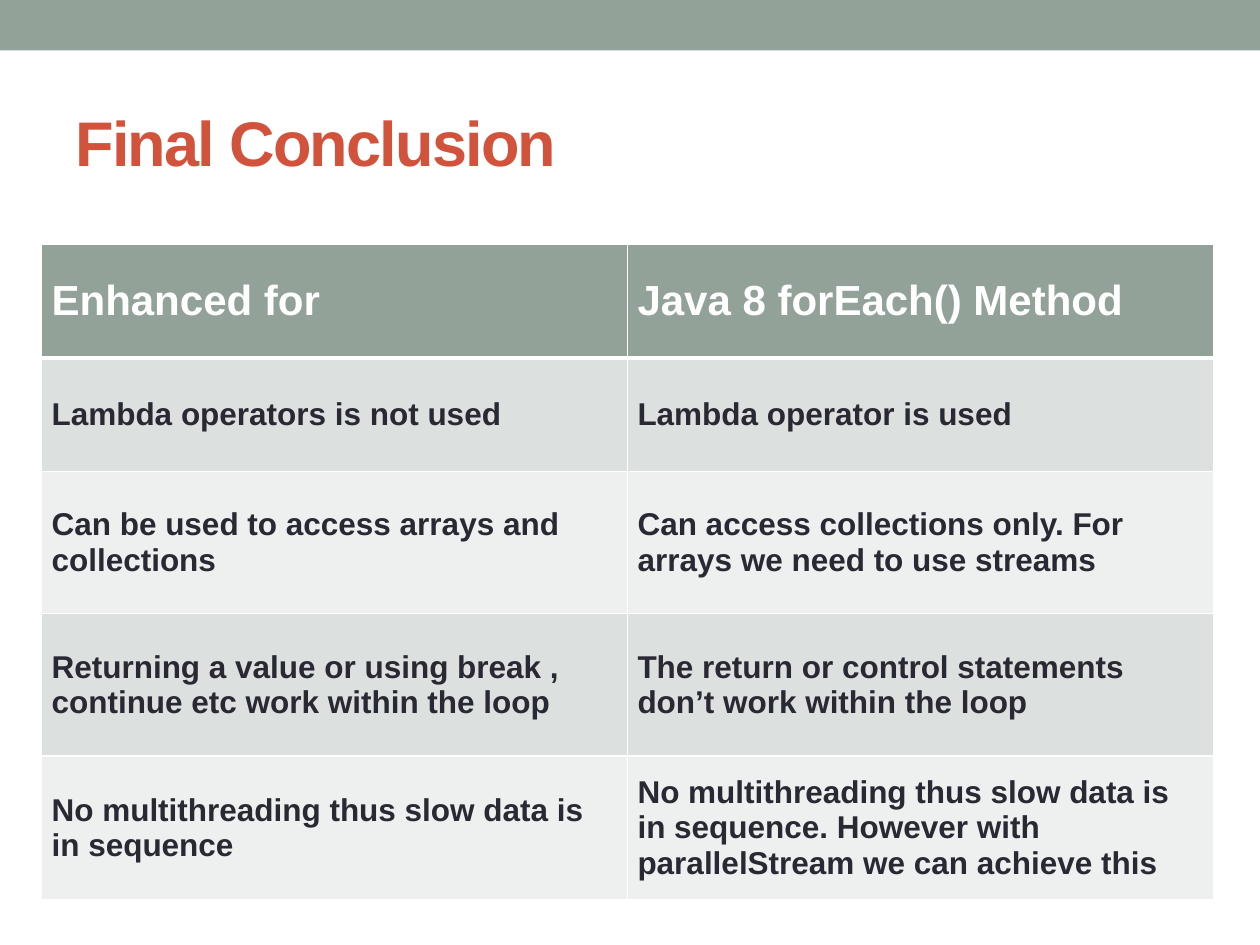
from dataclasses import dataclass

from lxml import etree
from pptx import Presentation
from pptx import util as u
from pptx.dml.color import RGBColor
from pptx.enum import shapes, text
from pptx.oxml import ns

SAGE, WHITE, INK, RUST = "93A299", "FFFFFF", "292934", "D2533C"
BAND_FILLS = ("DCE0DE", "EEF0EF")


@dataclass
class RowStyle:
    fill: str
    color: str
    size: int
    padding: float
    bottom_border: int = 1


@dataclass
class ComparisonRow:
    enhanced_for: str
    for_each: str
    height: float


ROWS = [
    ComparisonRow("Enhanced for", "Java 8 forEach() Method", 0.9),
    ComparisonRow("Lambda operators is not used", "Lambda operator is used", 0.9),
    ComparisonRow("Can be used to access arrays and collections",
                  "Can access collections only. For arrays we need to use streams", 1.13),
    ComparisonRow("Returning a value or using break , continue etc work within the loop",
                  "The return or control statements don’t work within the loop", 1.13),
    ComparisonRow("No multithreading thus slow data is in sequence",
                  "No multithreading thus slow data is in sequence. "
                  "However with parallelStream we can achieve this", 1.13),
]


def rgb(value: str) -> RGBColor:
    return RGBColor.from_string(value)


def set_attributes(target, values: dict) -> None:
    for name, value in values.items():
        setattr(target, name, value)


def write(frame, content: str, size: int, color: str):
    run = frame.paragraphs[0].add_run()
    run.text = content
    set_attributes(run.font, {"name": "Arial", "size": u.Pt(size), "bold": True})
    run.font.color.rgb = rgb(color)
    return run


def add_borders(cell, widths: dict) -> None:
    properties = cell._tc.get_or_add_tcPr()
    for position, (side, width) in enumerate(widths.items()):
        line = etree.Element(ns.qn(f"a:{side}"), w=str(u.Pt(width)))
        fill = etree.SubElement(line, ns.qn("a:solidFill"))
        etree.SubElement(fill, ns.qn("a:srgbClr"), val=WHITE)
        properties.insert(position, line)


def format_cell(cell, content: str, style: RowStyle, top_border: int) -> None:
    set_attributes(cell, {
        "margin_left": u.Inches(0.08), "margin_right": u.Inches(0.08),
        "margin_top": u.Inches(style.padding), "margin_bottom": u.Inches(style.padding),
        "vertical_anchor": text.MSO_ANCHOR.MIDDLE,
    })
    cell.fill.solid()
    cell.fill.fore_color.rgb = rgb(style.fill)
    write(cell.text_frame, content, style.size, style.color)
    add_borders(cell, {"lnL": 1, "lnR": 1, "lnT": top_border, "lnB": style.bottom_border})


def add_banner(slide) -> None:
    banner = slide.shapes.add_shape(shapes.MSO_SHAPE.RECTANGLE, 0, 0, u.Inches(10), u.Inches(0.4))
    banner.shadow.inherit = False
    banner.fill.solid()
    banner.fill.fore_color.rgb = rgb(SAGE)
    banner.line.fill.background()


def add_heading(slide, content: str) -> None:
    heading = slide.shapes.add_textbox(u.Inches(0.5), u.Inches(0.58), u.Inches(9), u.Inches(1.08))
    set_attributes(heading.text_frame,
                   {"word_wrap": True, "vertical_anchor": text.MSO_ANCHOR.MIDDLE})
    run = write(heading.text_frame, content, 36, RUST)
    run.font._element.set("spc", "-100")  # tighten letters by one point


def add_comparison(slide, rows: list[ComparisonRow]) -> None:
    comparison = slide.shapes.add_table(
        len(rows), 2, u.Inches(0.33), u.Inches(1.94), u.Inches(9.3),
        u.Inches(sum(row.height for row in rows))).table
    for column in comparison.columns:
        column.width = u.Inches(4.65)

    top_border = 1
    for index, row in enumerate(rows):
        comparison.rows[index].height = u.Inches(row.height)
        if index == 0:
            style = RowStyle(SAGE, WHITE, 24, 0.08, bottom_border=3)
        else:
            style = RowStyle(BAND_FILLS[(index - 1) % 2], INK, 18, 0.12)
        for column, content in enumerate((row.enhanced_for, row.for_each)):
            format_cell(comparison.cell(index, column), content, style, top_border)
        top_border = style.bottom_border


def main() -> None:
    deck = Presentation()
    set_attributes(deck, {"slide_width": u.Inches(10), "slide_height": u.Inches(7.5)})
    slide = deck.slides.add_slide(deck.slide_layouts[6])

    # Banner and heading
    add_banner(slide)
    add_heading(slide, "Final Conclusion")

    # Loop comparison
    add_comparison(slide, ROWS)
    deck.save("out.pptx")


if __name__ == "__main__":
    main()
